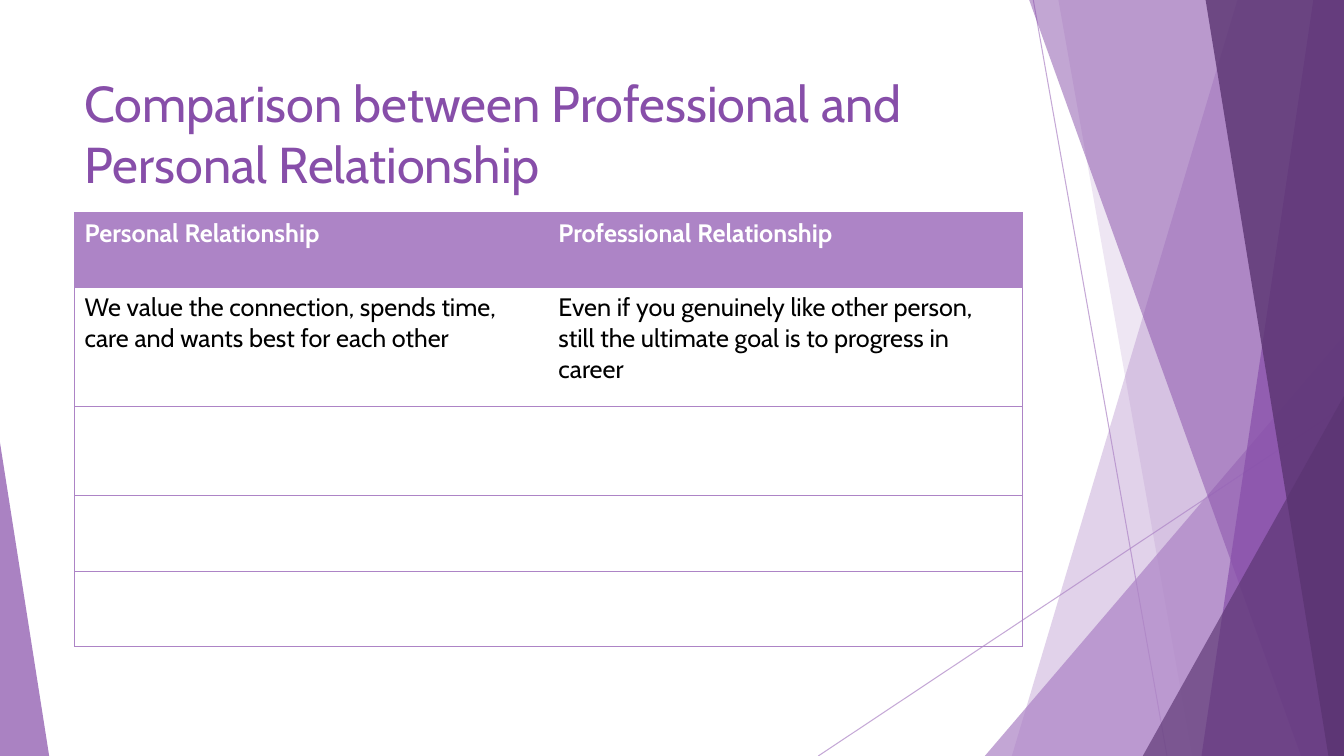
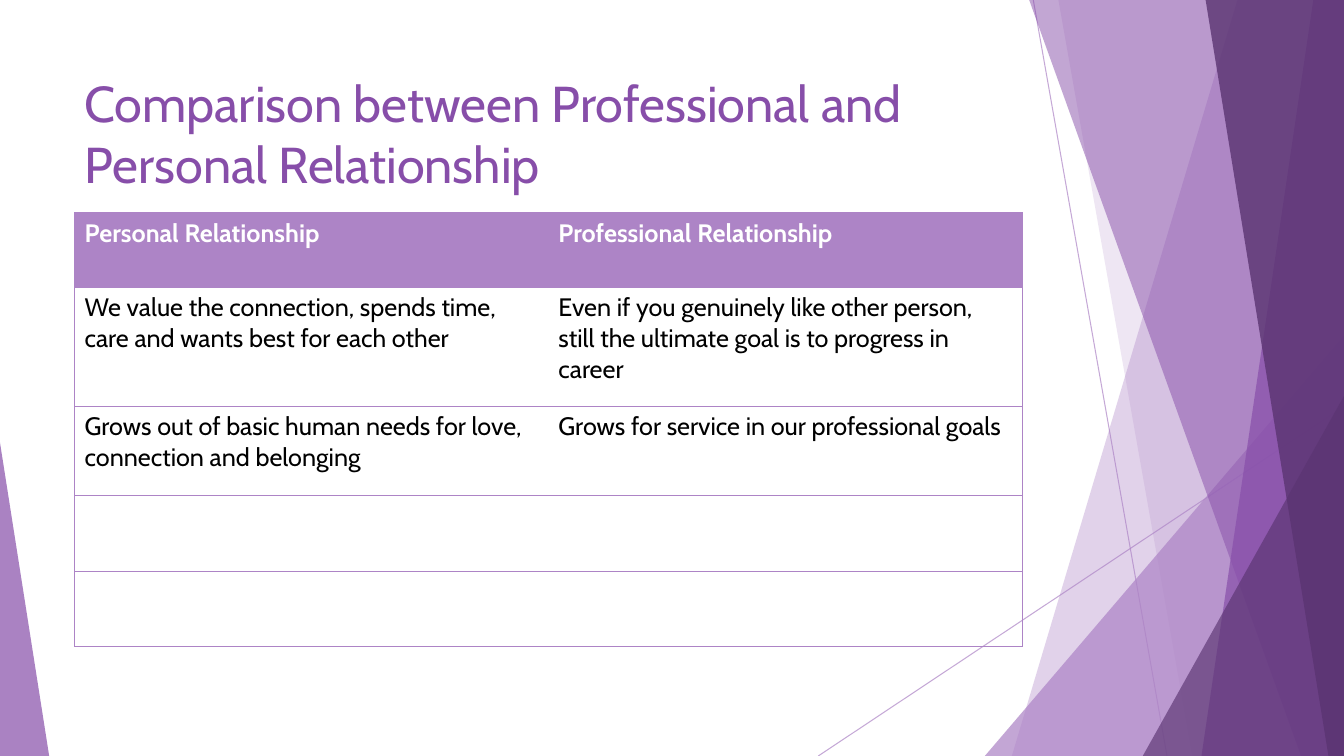
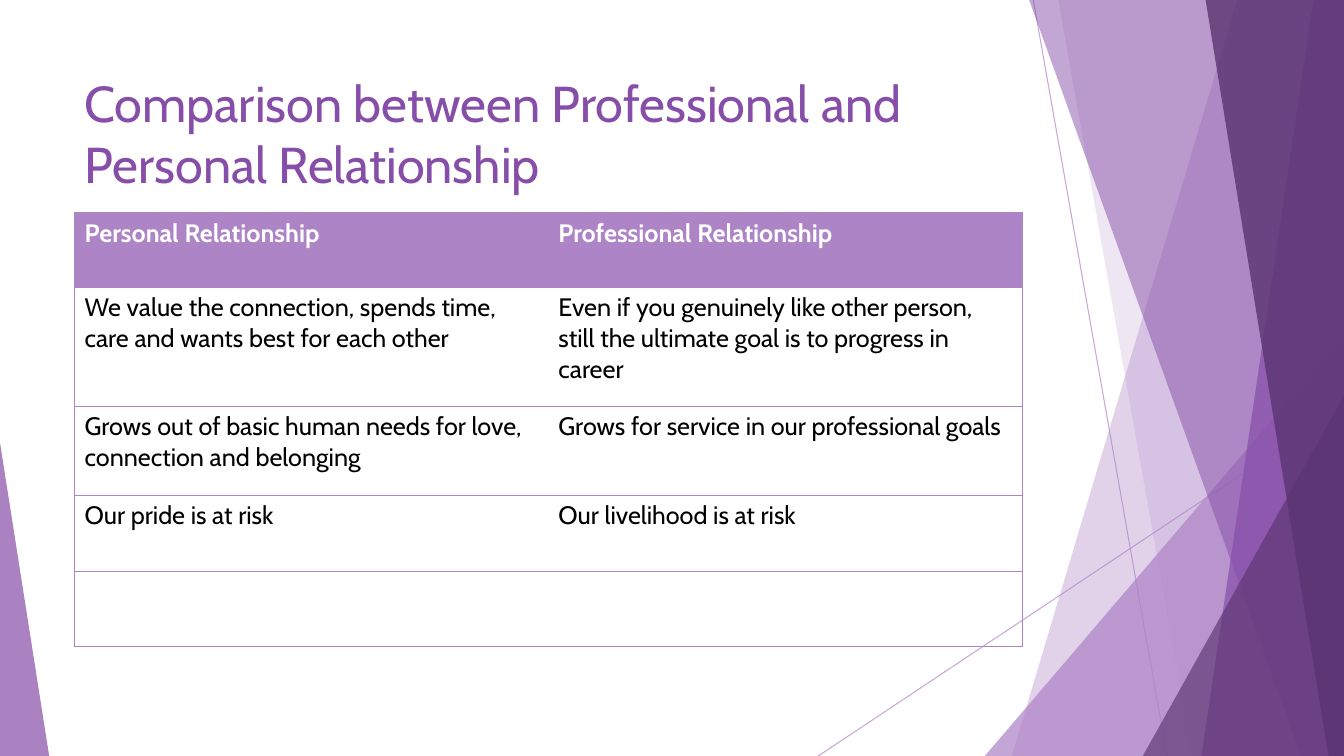
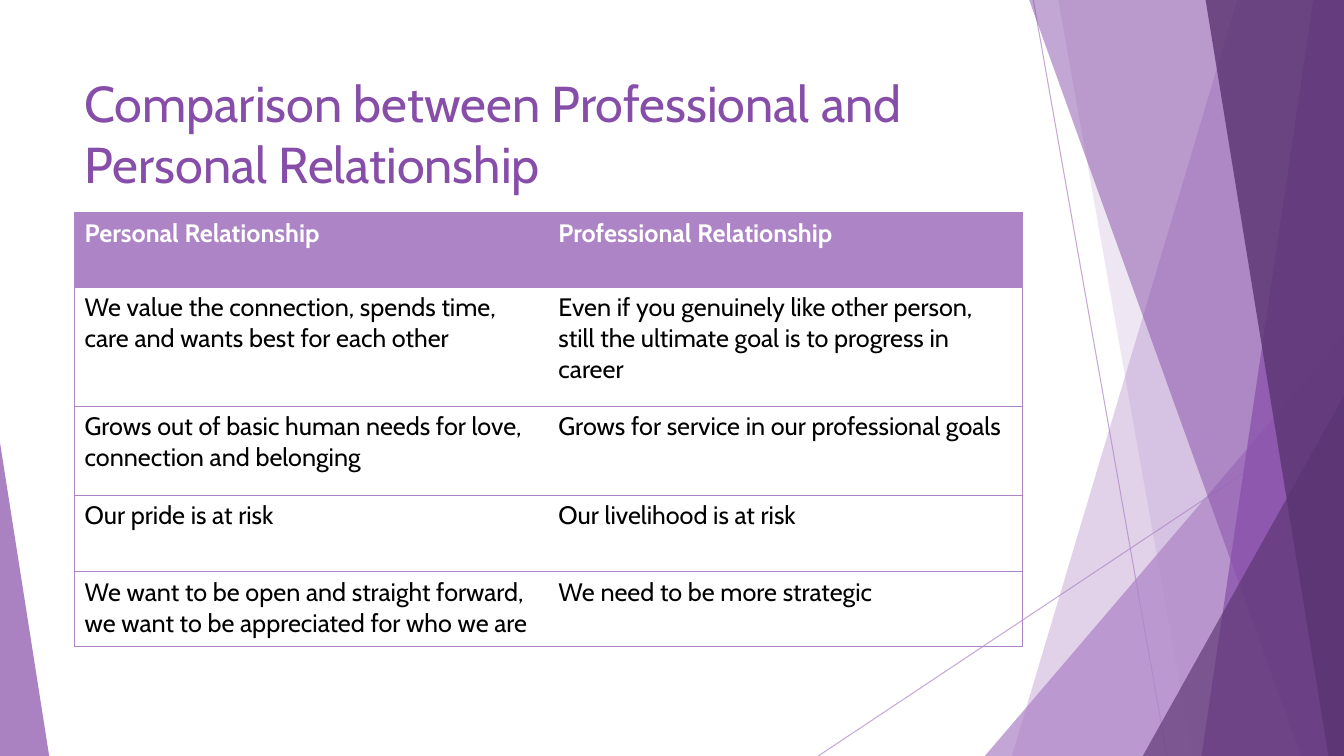
from lxml import etree
from pptx import Presentation
from pptx import util as u
from pptx.dml.color import RGBColor
from pptx.enum import shapes, text
from pptx.oxml import ns

Cm = u.Cm
W, H = 33.87, 19.05
TOP = -0.02
LEFT, CONTENT_W = 1.88, 23.88
FONT = "Cabin"
LILAC, PURPLE, PLUM = "AD84C6", "874EA9", "5A3471"
WHITE, BLACK = "FFFFFF", "000000"


def rgb(color):
    return RGBColor.from_string(color)


def add_alpha(props, percent):
    """Set the opacity of the first solid colour in the shape properties."""
    color = props.find(".//" + ns.qn("a:srgbClr"))
    etree.SubElement(color, ns.qn("a:alpha"), val=str(percent * 1000))


class Deck:
    def __init__(self):
        self.prs = Presentation()
        self.prs.slide_width, self.prs.slide_height = Cm(W), Cm(H)
        self.s = None

    def new_slide(self):
        self.s = self.prs.slides.add_slide(self.prs.slide_layouts[6])
        self.backdrop()

    def paint(self, sp, color, opacity):
        sp.shadow.inherit = False
        sp.fill.solid()
        sp.fill.fore_color.rgb = rgb(color)
        add_alpha(sp._element.spPr, opacity)
        sp.line.fill.background()

    def line(self, x1, y1, x2, y2):
        c = self.s.shapes.add_connector(
            shapes.MSO_CONNECTOR.STRAIGHT, Cm(x1), Cm(y1), Cm(x2), Cm(y2))
        c.line.color.rgb = rgb(LILAC)
        c.line.width = u.Pt(0.75)
        props = c._element.spPr
        add_alpha(props, 70)
        etree.SubElement(props, ns.qn("a:effectLst"))

    def band(self, top_x, bottom_x, color, opacity):
        """Slanted left edge, running out to the right side of the slide."""
        outline = self.s.shapes.build_freeform(Cm(top_x), Cm(TOP))
        outline.add_line_segments(
            [(Cm(W), Cm(TOP)), (Cm(W), Cm(H)), (Cm(bottom_x), Cm(H))])
        self.paint(outline.convert_to_shape(), color, opacity)

    def triangle(self, left, right, top, apex, color, opacity):
        """Triangle standing on the bottom of the slide."""
        sp = self.s.shapes.add_shape(
            shapes.MSO_SHAPE.ISOSCELES_TRIANGLE,
            Cm(left), Cm(top), Cm(right - left), Cm(H - top))
        sp.adjustments[0] = apex
        self.paint(sp, color, opacity)

    def backdrop(self):
        self.line(26.04, 0, 29.41, H)
        self.line(W, 10.24, 20.62, H)
        self.band(31.19, 25.5, LILAC, 36)
        self.band(26.67, 30.05, LILAC, 20)
        self.triangle(24.82, W, 8.46, 1, LILAC, 72)
        self.band(25.93, 32.79, PURPLE, 50)
        self.band(33.1, 30.28, PURPLE, 70)
        self.band(30.38, 33.48, PLUM, 80)
        self.triangle(28.8, W, 9.98, 1, PLUM, 66)
        self.triangle(0, 1.24, 11.15, 0, PURPLE, 70)

    def put_text(self, tf, words, size, color, bold=False):
        p = tf.paragraphs[0]
        p.text = words
        p.font.name, p.font.size = FONT, u.Pt(size)
        p.font.bold = bold
        p.font.color.rgb = rgb(color)

    def title(self, words):
        sp = self.s.shapes.add_textbox(
            Cm(LEFT), Cm(1.7), Cm(CONTENT_W), Cm(3.66))
        tf = sp.text_frame
        tf.word_wrap = True
        tf.vertical_anchor = text.MSO_ANCHOR.TOP
        self.put_text(tf, words, 36, PURPLE)

    def border(self, cell, side, color):
        ln = etree.SubElement(
            cell._tc.get_or_add_tcPr(), ns.qn("a:ln" + side), w=str(u.Pt(1)))
        if color is None:
            etree.SubElement(ln, ns.qn("a:noFill"))
        else:
            fill = etree.SubElement(ln, ns.qn("a:solidFill"))
            etree.SubElement(fill, ns.qn("a:srgbClr"), val=color)

    def table(self, rows, heights):
        cols = len(rows[0])
        frame = self.s.shapes.add_table(
            len(heights), cols, Cm(LEFT), Cm(5.36),
            Cm(CONTENT_W), Cm(sum(heights)))
        tbl = frame.table
        tbl.first_row = tbl.horz_banding = False
        for col in tbl.columns:
            col.width = Cm(CONTENT_W / cols)
        for i, height in enumerate(heights):
            tbl.rows[i].height = Cm(height)
            header = i == 0
            for j in range(cols):
                cell = tbl.cell(i, j)
                inner = LILAC if header else None
                self.border(cell, "L", LILAC if j == 0 else inner)
                self.border(cell, "R", LILAC if j == cols - 1 else inner)
                self.border(cell, "T", LILAC)
                self.border(cell, "B", LILAC)
                if header:
                    cell.fill.solid()
                    cell.fill.fore_color.rgb = rgb(LILAC)
                else:
                    cell.fill.background()
                if i < len(rows):
                    self.put_text(cell.text_frame, rows[i][j], 18,
                                  WHITE if header else BLACK, header)


# Table content: header, then one comparison per row
HEADER = ("Personal Relationship", "Professional Relationship")
COMPARISONS = [
    ("We value the connection, spends time, care and wants best for each other",
     "Even if you genuinely like other person, still the ultimate goal is to "
     "progress in career"),
    ("Grows out of basic human needs for love, connection and belonging",
     "Grows for service in our professional goals"),
    ("Our pride is at risk", "Our livelihood is at risk"),
    ("We want to be open and straight forward, we want to be appreciated for "
     "who we are",
     "We need to be more strategic"),
]
ROW_HEIGHTS = [1.88, 3, 2.24, 1.93, 1.88]

# Each slide reveals one more comparison
deck = Deck()
for shown in range(1, len(COMPARISONS) + 1):
    deck.new_slide()
    deck.title("Comparison between Professional and Personal Relationship")
    deck.table([HEADER] + COMPARISONS[:shown], ROW_HEIGHTS)

deck.prs.save("out.pptx")
